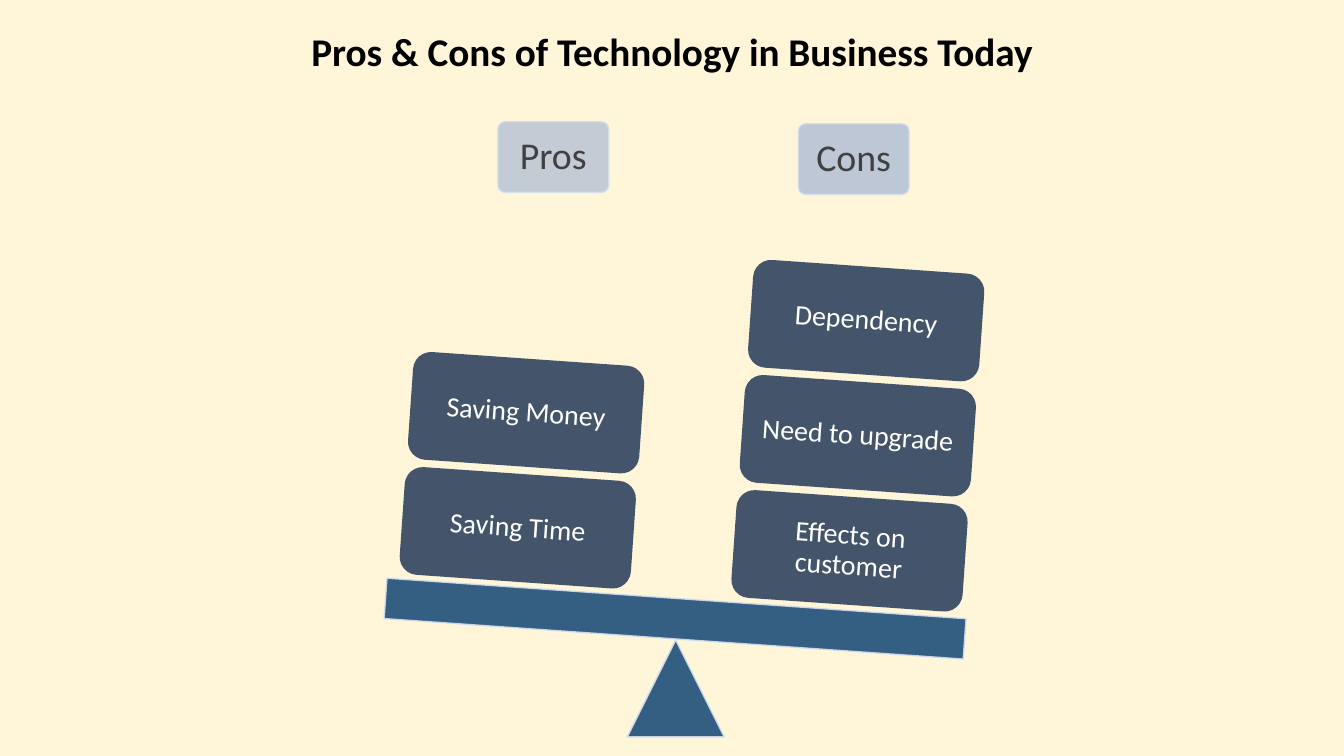
import dataclasses

import pptx
import pptx.dml.color
import pptx.enum.shapes
import pptx.enum.text
import pptx.oxml
import pptx.oxml.ns
import pptx.util

Cm = pptx.util.Cm
Pt = pptx.util.Pt
SHAPE = pptx.enum.shapes.MSO_SHAPE


@dataclasses.dataclass(frozen=True)
class Theme:
    font: str = "Calibri"
    background: str = "FFF5D9"
    title: str = "000000"
    label: str = "BDC7D5"
    label_text: str = "404040"
    scale: str = "1F4E79"
    edge: str = "D2DEEF"
    block: str = "44546A"
    block_text: str = "FFFFFF"
    title_size: int = 28
    label_size: int = 27
    block_size: int = 20


THEME = Theme()
TILT = 4
BLOCK_W, BLOCK_H = 5.84, 2.72
STEP_X, STEP_Y = 0.21, -2.9  # offset from one block to the one above


def rgb(value):
    return pptx.dml.color.RGBColor.from_string(value)


def paint(fill, parent, color, opacity=100):
    """Solid fill; opacity is in percent."""
    fill.solid()
    fill.fore_color.rgb = rgb(color)
    if opacity < 100:
        clr = parent.find(".//" + pptx.oxml.ns.qn("a:srgbClr"))
        alpha = pptx.oxml.parse_xml(
            f'<a:alpha {pptx.oxml.ns.nsdecls("a")} val="{opacity * 1000}"/>')
        clr.append(alpha)


def add_box(s, kind, at, color, opacity=100, edge=False, tilt=0):
    sp = s.shapes.add_shape(kind, *(Cm(v) for v in at))
    sp.shadow.inherit = False
    sp.rotation = tilt
    paint(sp.fill, sp.element.spPr, color, opacity)
    if edge:
        sp.line.width = Pt(1)
        paint(sp.line.fill, sp.line._get_or_add_ln(), THEME.edge, 90)
    else:
        sp.line.fill.background()
    return sp


def set_text(sp, text, size, color, inset, bold=False):
    tf = sp.text_frame
    tf.text = text
    tf.word_wrap = True
    tf.vertical_anchor = pptx.enum.text.MSO_ANCHOR.MIDDLE
    tf.margin_left = tf.margin_right = Cm(inset)
    tf.margin_top = tf.margin_bottom = Cm(inset)
    p = tf.paragraphs[0]
    p.alignment = pptx.enum.text.PP_ALIGN.CENTER
    p.line_spacing = 0.9
    r = p.runs[0]
    r.font.name = THEME.font
    r.font.size = Pt(size)
    r.font.bold = bold
    r.font.color.rgb = rgb(color)


def add_title(s, text, width):
    sp = s.shapes.add_textbox(0, 0, width, Cm(2.69))
    set_text(sp, text, THEME.title_size, THEME.title, 0.25, bold=True)


def add_label(s, text, left, top, opacity):
    sp = add_box(s, SHAPE.ROUNDED_RECTANGLE, (left, top, 2.79, 1.78),
                 THEME.label, opacity, edge=True)
    sp.adjustments[0] = 0.1
    set_text(sp, text, THEME.label_size, THEME.label_text, 0.33)


def add_stack(s, left, top, texts):
    """Tilted blocks, listed from the bottom up."""
    for i, text in enumerate(texts):
        at = (left + i * STEP_X, top + i * STEP_Y, BLOCK_W, BLOCK_H)
        sp = add_box(s, SHAPE.ROUNDED_RECTANGLE, at, THEME.block, tilt=TILT)
        set_text(sp, text, THEME.block_size, THEME.block_text, 0.34)


def add_scale(s):
    add_box(s, SHAPE.ISOSCELES_TRIANGLE, (15.81, 16.13, 2.44, 2.44),
            THEME.scale, 90, edge=True)
    add_box(s, SHAPE.RECTANGLE, (9.7, 15.08, 14.63, 1.02),
            THEME.scale, 90, edge=True, tilt=TILT)


def main():
    prs = pptx.Presentation()
    prs.slide_width, prs.slide_height = Cm(33.87), Cm(19.05)
    s = prs.slides.add_slide(prs.slide_layouts[6])
    s.background.fill.solid()
    s.background.fill.fore_color.rgb = rgb(THEME.background)

    # Headings
    add_title(s, "Pros & Cons of Technology in Business Today", prs.slide_width)
    add_label(s, "Pros", 12.55, 3.07, 90)
    add_label(s, "Cons", 20.12, 3.12, 100)

    # Balance and its two loads
    add_scale(s)
    add_stack(s, 18.49, 12.52,
              ["Effects on customer", "Need to upgrade", "Dependency"])
    add_stack(s, 10.13, 11.94, ["Saving Time", "Saving Money"])

    prs.save("out.pptx")


if __name__ == "__main__":
    main()
